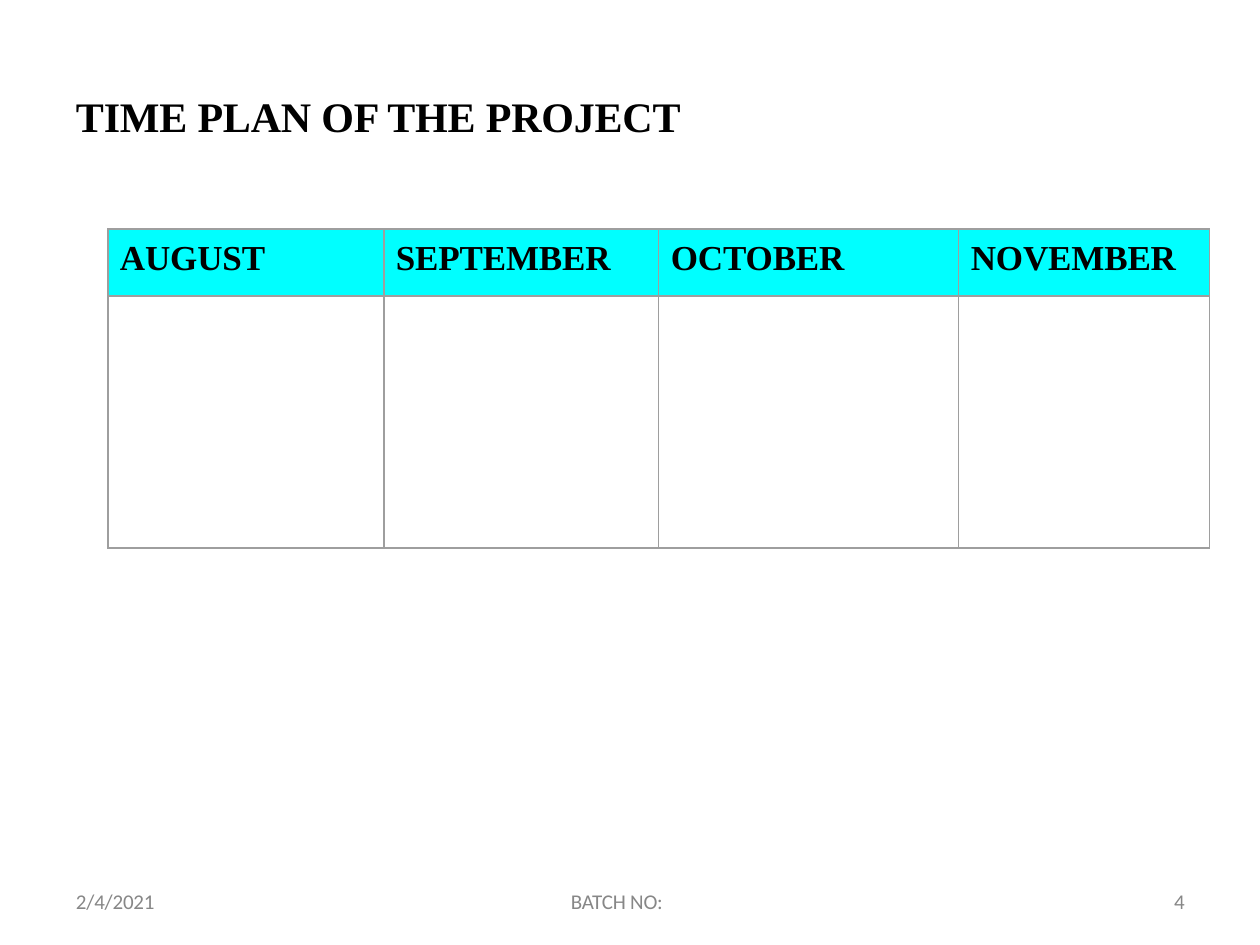
from dataclasses import dataclass

from lxml import etree
from pptx import Presentation
from pptx import util as u
from pptx.dml.color import RGBColor
from pptx.enum import text
from pptx.oxml import ns

PX = u.Inches(1) / 126


def px(length):
    return u.Emu(round(length * PX))


@dataclass(frozen=True)
class Theme:
    ink: str = "000000"
    muted: str = "878787"
    header: str = "00FFFF"
    border: str = "9E9E9E"
    heading_font: str = "Times New Roman"
    footer_font: str = "Calibri"
    title_size: int = 24
    header_size: int = 20
    footer_size: int = 12
    footer_line: float = 12.4
    border_width: float = 0.75


class SlideBuilder:
    def __init__(self, slide, theme):
        self.slide = slide
        self.theme = theme

    def add_run(self, paragraph, words, font, size, color, bold=False):
        run = paragraph.add_run()
        run.text = words
        run.font.name = font
        run.font.size = u.Pt(size)
        run.font.bold = bold
        run.font.color.rgb = RGBColor.from_string(color)
        run._r.get_or_add_rPr().set("spc", "-10")

    def prepare_frame(self, frame, left=0, top=0):
        frame.margin_left, frame.margin_top = px(left), px(top)
        frame.margin_right = frame.margin_bottom = 0
        frame.vertical_anchor = text.MSO_ANCHOR.TOP
        frame.word_wrap = False
        paragraph = frame.paragraphs[0]
        paragraph.alignment = text.PP_ALIGN.LEFT
        return paragraph

    def title(self, words, left, top, width, height):
        shape = self.slide.shapes.title
        shape.left, shape.top, shape.width, shape.height = map(px, (left, top, width, height))
        paragraph = self.prepare_frame(shape.text_frame, left=1, top=7)
        self.add_run(paragraph, words, self.theme.heading_font,
                     self.theme.title_size, self.theme.ink, bold=True)

    def footer(self, words, left, top, width, height, indent=1):
        shape = self.slide.shapes.add_textbox(*map(px, (left, top, width, height)))
        paragraph = self.prepare_frame(shape.text_frame, left=indent)
        paragraph.line_spacing = u.Pt(self.theme.footer_line)
        self.add_run(paragraph, words, self.theme.footer_font,
                     self.theme.footer_size, self.theme.muted)

    def cell_borders(self, cell):
        properties = cell._tc.get_or_add_tcPr()
        for side in ("lnL", "lnR", "lnT", "lnB"):
            line = etree.SubElement(properties, ns.qn(f"a:{side}"),
                                    w=str(u.Pt(self.theme.border_width)))
            fill = etree.SubElement(line, ns.qn("a:solidFill"))
            etree.SubElement(fill, ns.qn("a:srgbClr"), val=self.theme.border)

    def table(self, headings, left, top, column_widths, row_heights):
        frame = self.slide.shapes.add_table(
            len(row_heights), len(column_widths), px(left), px(top),
            px(sum(column_widths)), px(sum(row_heights)))
        table = frame.table
        table.horz_banding = False
        for column, width in zip(table.columns, column_widths):
            column.width = px(width)
        for row, height in zip(table.rows, row_heights):
            row.height = px(height)
        for cell in table.iter_cells():
            self.cell_borders(cell)
            cell.fill.background()
        for cell, heading in zip(table.rows[0].cells, headings):
            cell.fill.solid()
            cell.fill.fore_color.rgb = RGBColor.from_string(self.theme.header)
            cell.margin_left, cell.margin_top = px(12), px(10)
            cell.margin_right = cell.margin_bottom = 0
            self.add_run(cell.text_frame.paragraphs[0], heading, self.theme.heading_font,
                         self.theme.header_size, self.theme.ink, bold=True)


def main():
    presentation = Presentation()
    presentation.slide_width, presentation.slide_height = px(1260), px(945)
    slide = presentation.slides.add_slide(presentation.slide_layouts[5])
    builder = SlideBuilder(slide, Theme())

    builder.footer("2/4/2021", 75, 892, 101, 24)
    builder.footer("BATCH NO:", 570, 892, 100, 24)
    builder.footer("4", 1170, 892, 18, 24, indent=4)
    builder.title("TIME PLAN OF THE PROJECT", 75, 84, 611, 54)
    builder.table(("AUGUST", "SEPTEMBER", "OCTOBER", "NOVEMBER"),
                  108, 229, (276, 275, 300, 251), (67, 252))

    presentation.save("out.pptx")


if __name__ == "__main__":
    main()
